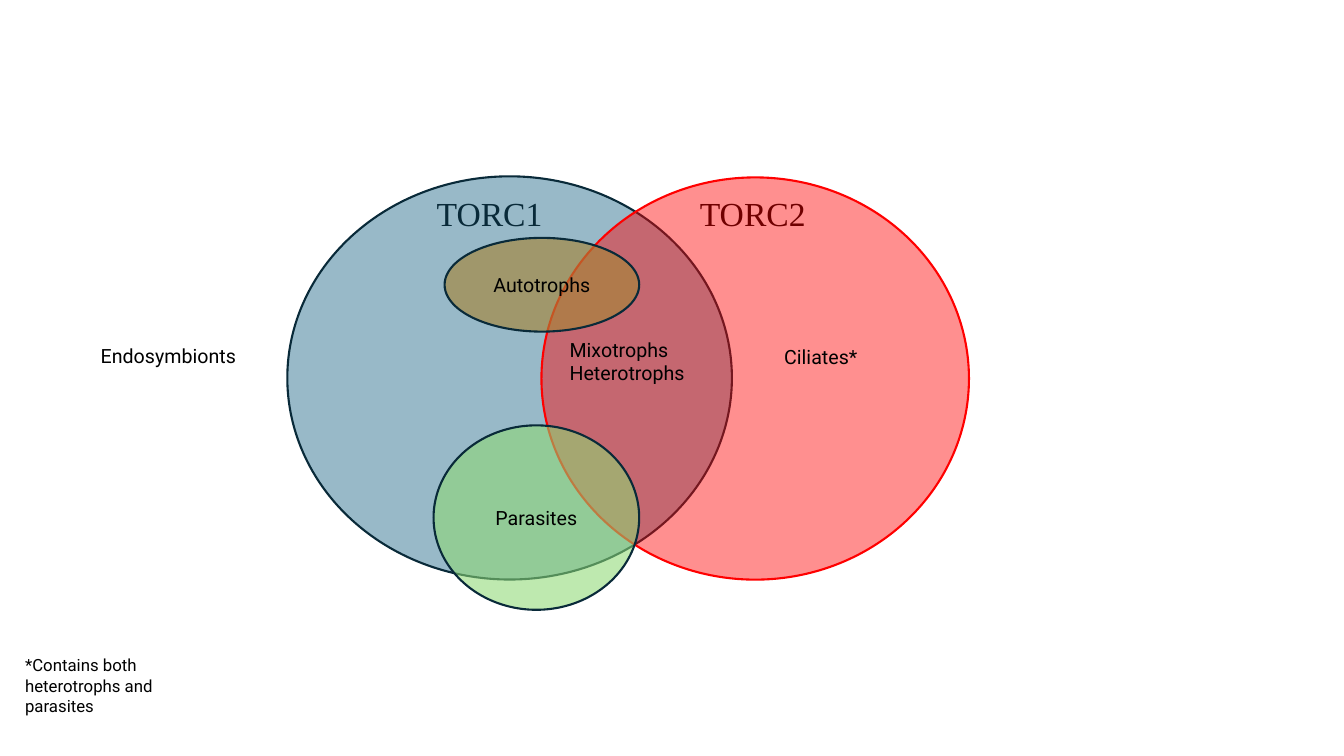
from dataclasses import dataclass

from lxml.etree import SubElement
from pptx import Presentation
from pptx.dml.color import RGBColor
from pptx.enum.shapes import MSO_SHAPE as Preset
from pptx.enum.text import MSO_ANCHOR as Anchor
from pptx.enum.text import MSO_AUTO_SIZE as AutoSize
from pptx.enum.text import PP_ALIGN as Align
from pptx.oxml.ns import qn
from pptx.slide import Slide
from pptx.text.text import TextFrame
from pptx.util import Inches, Pt

SLIDE_WIDTH, SLIDE_HEIGHT = Inches(13.33), Inches(7.5)
SANS, SERIF = "Roboto", "Times New Roman"
BLACK, NAVY, RED = "000000", "092A39", "FF0000"


@dataclass(frozen=True)
class Area:
    """Percent shares of the slide's width and height."""
    left: float
    top: float
    width: float
    height: float

    def lengths(self) -> tuple[int, int, int, int]:
        return (
            int(SLIDE_WIDTH * self.left / 100),
            int(SLIDE_HEIGHT * self.top / 100),
            int(SLIDE_WIDTH * self.width / 100),
            int(SLIDE_HEIGHT * self.height / 100),
        )


@dataclass(frozen=True)
class Label:
    area: Area
    lines: tuple[str, ...]
    size: int = 14
    font: str = SANS
    align: Align = Align.LEFT


@dataclass(frozen=True)
class Region:
    area: Area
    fill: str
    opacity: int
    outline: str = NAVY
    name: str = ""


COMPLEX_TITLES = [
    Label(Area(left, 24.8, 11.93, 6.67), (title,), 24, SERIF, Align.CENTER)
    for left, title in ((50.04, "TORC2"), (30.46, "TORC1"))
]
COMPLEXES = [
    Region(Area(21.38, 23.33, 33.08, 53.33), "156082", 44),
    Region(Area(40.29, 23.47, 31.81, 53.2), RED, 44, RED),
]
LIFESTYLES = [
    Label(Area(41.64, 44, 11.93, 7.6), ("Mixotrophs", "Heterotrophs")),
    Label(Area(6.75, 44.8, 17.18, 4.53), ("Endosymbionts",)),
    Label(Area(57.61, 44.93, 12.9, 4.53), ("Ciliates*",)),
    Label(Area(1.13, 86, 16.35, 6.67),
          ("*Contains both heterotrophs and parasites",), 12),
]
SUBGROUPS = [
    Region(Area(33.08, 31.47, 14.48, 12.4), "A58537", 64, name="Autotrophs"),
    Region(Area(32.26, 56.27, 15.3, 24.4), "8ED973", 57, name="Parasites"),
]


def color(value: str) -> RGBColor:
    return RGBColor.from_string(value)


def write(frame: TextFrame, lines: tuple[str, ...], size: int, font: str,
          align: Align) -> None:
    frame.word_wrap = True
    for index, line in enumerate(lines):
        paragraph = frame.add_paragraph() if index else frame.paragraphs[0]
        paragraph.alignment = align
        run = paragraph.add_run()
        run.text = line
        run.font.size = Pt(size)
        run.font.name = font
        run.font.color.rgb = color(BLACK)


def draw_label(slide: Slide, label: Label) -> None:
    frame = slide.shapes.add_textbox(*label.area.lengths()).text_frame
    frame.auto_size = AutoSize.SHAPE_TO_FIT_TEXT
    write(frame, label.lines, label.size, label.font, label.align)


def draw_region(slide: Slide, region: Region) -> None:
    oval = slide.shapes.add_shape(Preset.OVAL, *region.area.lengths())
    oval.shadow.inherit = False
    oval.fill.solid()
    oval.fill.fore_color.rgb = color(region.fill)
    tint = oval.fill._xPr.find(qn("a:solidFill"))[0]
    SubElement(tint, qn("a:alpha"), val=str(region.opacity * 1000))
    oval.line.color.rgb = color(region.outline)
    oval.line.width = Pt(1.5)
    if region.name:
        oval.text_frame.vertical_anchor = Anchor.MIDDLE
        write(oval.text_frame, (region.name,), 14, SANS, Align.CENTER)


def main() -> None:
    deck = Presentation()
    deck.slide_width, deck.slide_height = SLIDE_WIDTH, SLIDE_HEIGHT
    slide = deck.slides.add_slide(deck.slide_layouts[6])
    for title in COMPLEX_TITLES:
        draw_label(slide, title)
    for circle in COMPLEXES:
        draw_region(slide, circle)
    for lifestyle in LIFESTYLES:
        draw_label(slide, lifestyle)
    for subgroup in SUBGROUPS:
        draw_region(slide, subgroup)
    deck.save("out.pptx")


if __name__ == "__main__":
    main()
